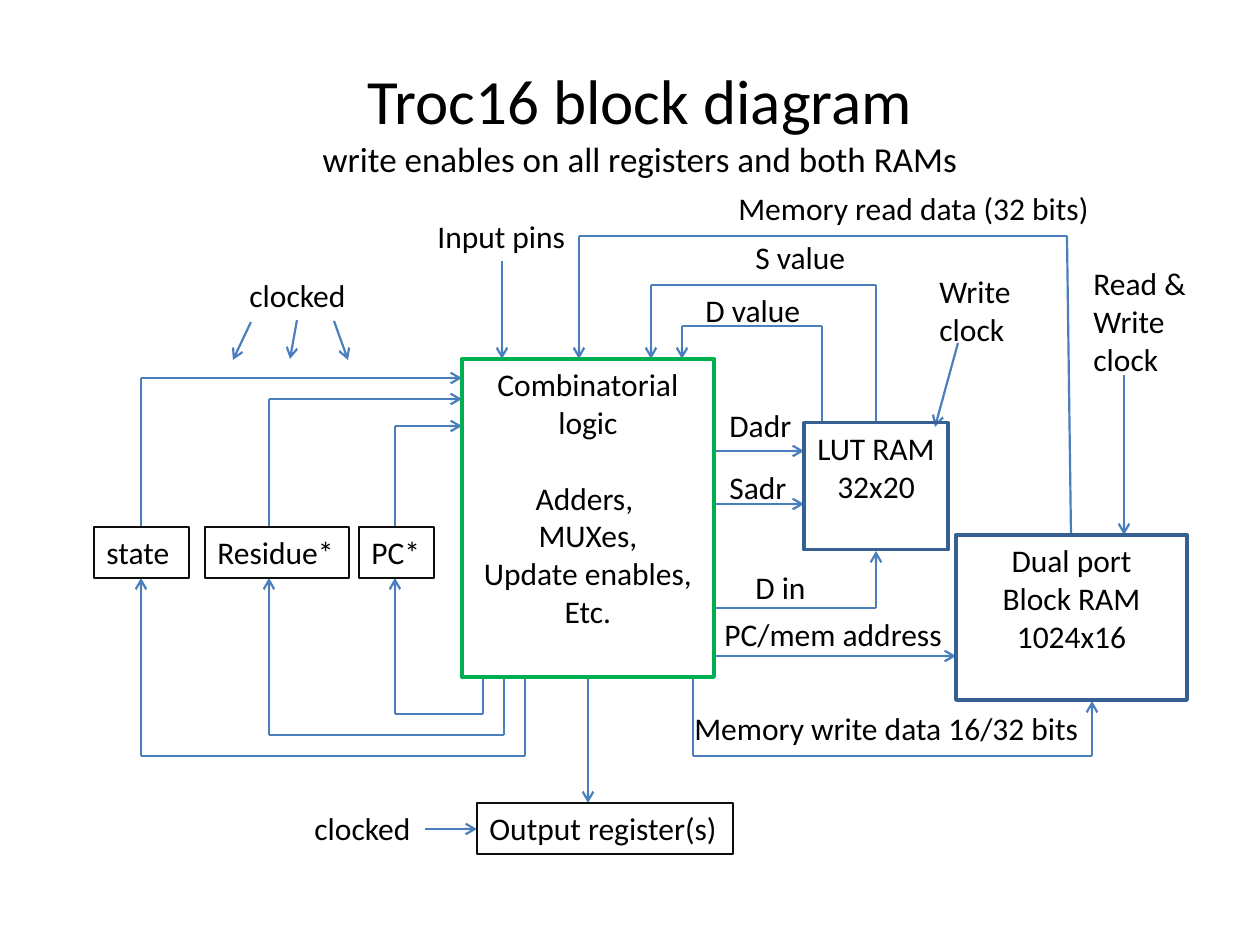
from itertools import pairwise
from pptx import Presentation, util as u
from pptx.dml.color import RGBColor
from pptx.enum import shapes, text
from pptx.oxml.ns import qn
from lxml import etree

PX = 914400 / 126
FONT = "Calibri"
BLACK = RGBColor(0, 0, 0)
INK = RGBColor(0x0D, 0x0D, 0x0D)
GREEN = RGBColor(0, 0xB0, 0x50)
NAVY = RGBColor(0x37, 0x60, 0x92)
BLUE = RGBColor(0x4B, 0x7E, 0xBC)
LEFT, MID = text.PP_ALIGN.LEFT, text.PP_ALIGN.CENTER

TITLE = [("Troc16 block diagram", 36),
         ("write enables on all registers and both RAMs", 20)]

LOGIC = ["Combinatorial logic", "", "Adders, ", "MUXes,", "Update enables,", "Etc."]
BOXES = [
    (94, 527, 95, 51, INK, 1.25, LEFT, ["state"]),
    (205, 527, 144, 51, INK, 1.25, LEFT, ["Residue*"]),
    (359, 527, 75, 51, INK, 1.25, LEFT, ["PC*"]),
    (462, 359, 252, 318, GREEN, 2.25, MID, LOGIC),
    (477, 803, 256, 51, INK, 1.25, LEFT, ["Output register(s)"]),
    (804, 423, 144, 127, NAVY, 1.75, MID, ["LUT RAM", "32x20"]),
    (956, 535, 231, 165, NAVY, 2.25, MID, ["Dual port", "Block RAM", "1024x16"]),
]

LABELS = [
    (425, 211, 155, ["Input pins"]),
    (726, 183, 380, ["Memory read data (32 bits)"]),
    (743, 232, 116, ["S value"]),
    (693, 285, 121, ["D value"]),
    (743, 562, 77, ["D in"]),
    (712, 609, 246, ["PC/mem address"]),
    (682, 703, 413, ["Memory write data 16/32 bits"]),
    (717, 400, 88, ["Dadr"]),
    (717, 462, 83, ["Sadr"]),
    (237, 270, 122, ["clocked"]),
    (302, 803, 122, ["clocked"]),
    (927, 266, 97, ["Write", "clock"]),
    (1081, 258, 118, ["Read &", "Write", "clock"]),
]

LOOPS = [(141, 378, 525, 756), (269, 399, 504, 735), (395, 426, 483, 714)]

WIRES = [
    [(425, 829), (477, 829)],
    [(502, 261), (502, 359)],
    [(588, 677), (588, 803)],
    [(714, 608), (876, 608), (876, 551)],
    [(714, 504), (804, 504)],
    [(714, 451), (804, 451)],
    [(714, 656), (956, 656)],
    [(822, 423), (822, 326), (682, 326), (682, 359)],
    [(876, 423), (876, 285), (651, 285), (651, 359)],
    [(1071, 535), (1067, 236), (579, 236), (579, 359)],
    [(693, 677), (693, 756), (1092, 756), (1092, 701)],
    [(251, 322), (233, 360)],
    [(297, 320), (290, 359)],
    [(334, 321), (348, 360)],
    [(958, 343), (935, 427)],
    [(1124, 375), (1124, 535)],
]
for x, high, out, low in LOOPS:
    WIRES.append([(out, 677), (out, low), (x, low), (x, 578)])
    WIRES.append([(x, 527), (x, high), (462, high)])


def px(*nums):
    return [round(n * PX) for n in nums]


def write(shape, lines, align, wrap):
    frame = shape.text_frame
    frame.word_wrap = wrap
    frame.vertical_anchor = text.MSO_ANCHOR.TOP
    frame.text = "\n".join(lines)
    for para in frame.paragraphs:
        para.alignment = align
        para.font.size = u.Pt(18)
        para.font.name = FONT
        para.font.color.rgb = BLACK


def wire(tree, points):
    for start, end in pairwise(points):
        line = tree.add_connector(shapes.MSO_CONNECTOR.STRAIGHT, *px(*start, *end))
        line.line.color.rgb = BLUE
        line.line.width = u.Pt(1.25)
        etree.SubElement(line._element.spPr, qn("a:effectLst"))
    tip = etree.SubElement(line.line._get_or_add_ln(), qn("a:tailEnd"))
    tip.set("type", "arrow")


def main():
    deck = Presentation()
    deck.slide_width, deck.slide_height = px(1260, 945)
    slide = deck.slides.add_slide(deck.slide_layouts[5])
    tree = slide.shapes

    title = tree.title
    title.left, title.top, title.width, title.height = px(73, 42, 1134, 157)
    para = title.text_frame.paragraphs[0]
    para.alignment = MID
    for i, (words, size) in enumerate(TITLE):
        if i:
            para.add_line_break()
        run = para.add_run()
        run.text = words
        run.font.size = u.Pt(size)
        run.font.name = FONT
        run.font.color.rgb = BLACK

    for points in WIRES:
        wire(tree, points)

    for x, y, w, h, color, width, align, lines in BOXES:
        box = tree.add_shape(shapes.MSO_SHAPE.RECTANGLE, *px(x, y, w, h))
        box.shadow.inherit = False
        box.fill.background()
        box.line.color.rgb = color
        box.line.width = u.Pt(width)
        write(box, lines, align, lines is LOGIC)

    for x, y, w, lines in LABELS:
        label = tree.add_textbox(*px(x, y, w, 13 + 38 * len(lines)))
        write(label, lines, LEFT, False)

    deck.save("out.pptx")


if __name__ == "__main__":
    main()
